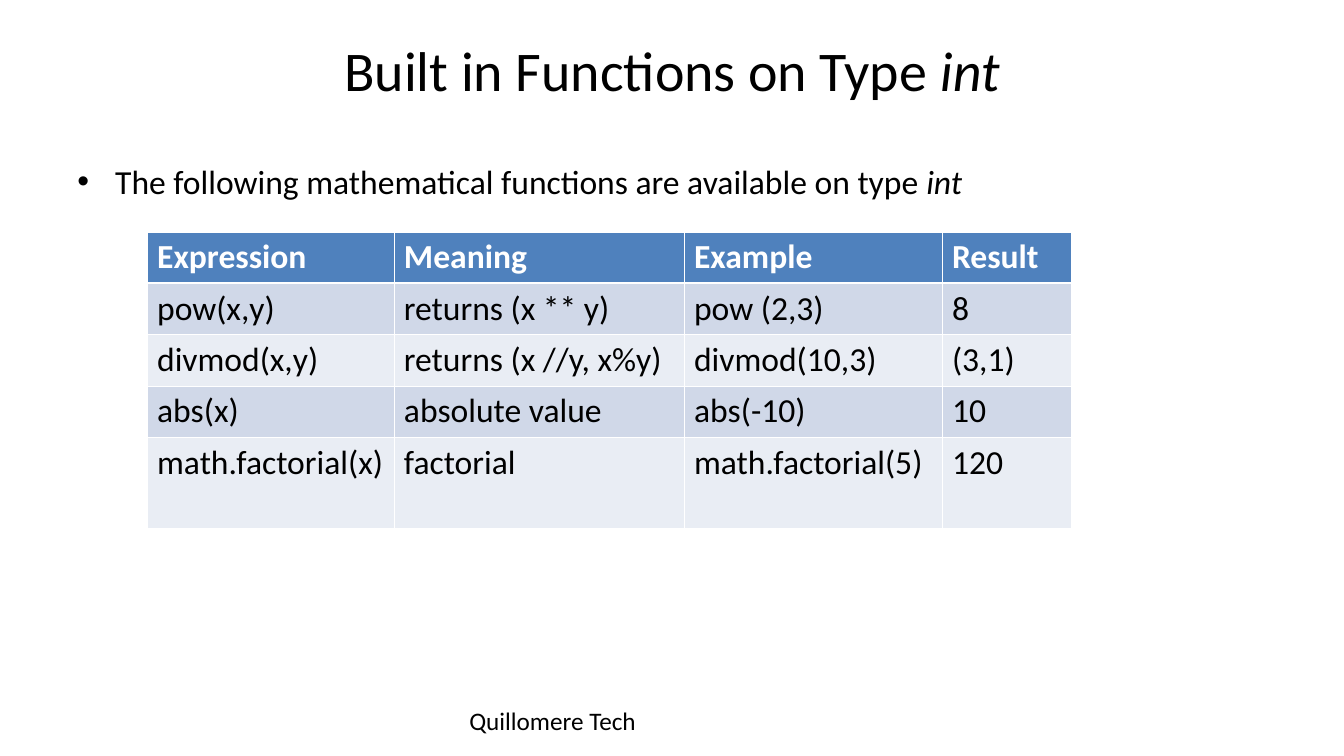
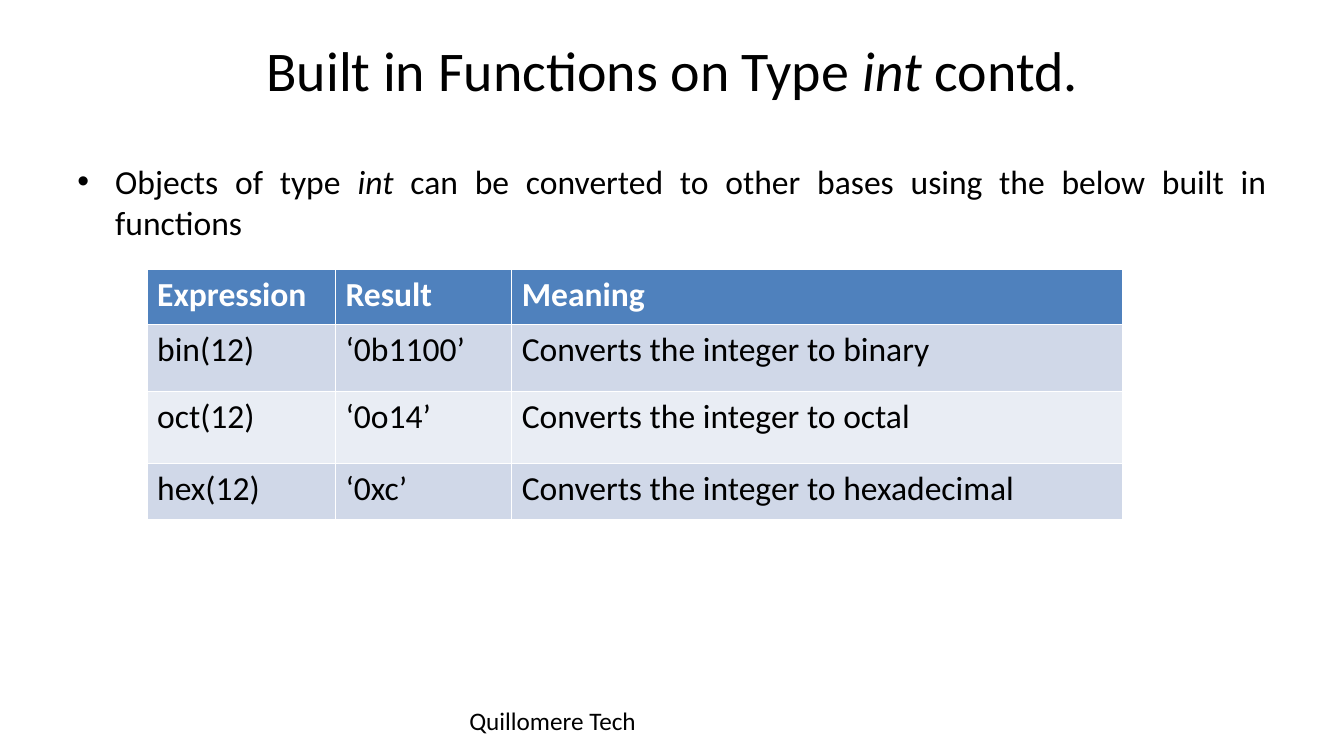
from dataclasses import dataclass

from lxml.etree import SubElement
from pptx import Presentation
from pptx.dml.color import RGBColor
from pptx.enum.text import MSO_ANCHOR, MSO_AUTO_SIZE, PP_ALIGN
from pptx.oxml.ns import qn
from pptx.util import Pt


@dataclass(frozen=True)
class Theme:
    font: str = "Calibri"
    text: str = "000000"
    header_text: str = "FFFFFF"
    header_fill: str = "4F81BD"
    band_fills: tuple = ("D0D8E8", "E9EDF4")
    border: str = "FFFFFF"
    thin_border: float = 0.45
    thick_border: float = 1.47
    title_size: int = 40
    body_size: int = 24
    footer_size: int = 18


THEME = Theme()

# Shared layout, in points: left, top, width, height
SLIDE_SIZE = (960.48, 540)
TITLE_BOX = (48.24, 21.6, 864, 90)
BODY_BOX = (48.24, 111.6, 864, 370.8)
FOOTER_BOX = (328.32, 500.4, 303.84, 28.8)
TABLE_LEFT = 105.12
BULLET_INDENT = 27

FOOTER = "Quillomere Tech"
TITLE = "Built in Functions on Type "


# Text
def format_paragraph(paragraph, size, color=THEME.text, bold=False):
    font = paragraph.font
    font.name = THEME.font
    font.size = Pt(size)
    font.bold = bold
    font.color.rgb = RGBColor.from_string(color)


def add_runs(paragraph, parts):
    """Add text parts in turn; every second part is italic."""
    for index, text in enumerate(parts):
        run = paragraph.add_run()
        run.text = text
        if index % 2:
            run.font.italic = True


def set_title(slide, parts):
    title = slide.shapes.title
    title.left, title.top, title.width, title.height = map(Pt, TITLE_BOX)
    frame = title.text_frame
    frame.auto_size = MSO_AUTO_SIZE.NONE
    frame.vertical_anchor = MSO_ANCHOR.TOP
    paragraph = frame.paragraphs[0]
    paragraph.alignment = PP_ALIGN.CENTER
    format_paragraph(paragraph, THEME.title_size)
    add_runs(paragraph, parts)


def add_text_box(slide, box):
    frame = slide.shapes.add_textbox(*map(Pt, box)).text_frame
    frame.word_wrap = True
    return frame.paragraphs[0]


def set_bullet(paragraph):
    properties = paragraph._p.get_or_add_pPr()
    properties.set("marL", str(Pt(BULLET_INDENT)))
    properties.set("indent", str(-Pt(BULLET_INDENT)))
    color = SubElement(properties, qn("a:buClr"))
    SubElement(color, qn("a:srgbClr"), val=THEME.text)
    SubElement(properties, qn("a:buFont"), typeface="Arial")
    SubElement(properties, qn("a:buChar"), char="•")


def add_bullet(slide, parts):
    paragraph = add_text_box(slide, BODY_BOX)
    paragraph.alignment = PP_ALIGN.JUSTIFY
    paragraph.space_before = Pt(6)
    set_bullet(paragraph)
    format_paragraph(paragraph, THEME.body_size)
    add_runs(paragraph, parts)


def add_footer(slide):
    paragraph = add_text_box(slide, FOOTER_BOX)
    format_paragraph(paragraph, THEME.footer_size)
    add_runs(paragraph, [FOOTER])


# Tables
def set_borders(cell, row_index):
    widths = dict.fromkeys(("lnL", "lnR", "lnT", "lnB"), THEME.thin_border)
    if row_index == 0:
        widths["lnB"] = THEME.thick_border
    elif row_index == 1:
        widths["lnT"] = THEME.thick_border
    properties = cell._tc.get_or_add_tcPr()
    for side, width in widths.items():
        line = SubElement(properties, qn(f"a:{side}"), w=str(Pt(width)))
        fill = SubElement(line, qn("a:solidFill"))
        SubElement(fill, qn("a:srgbClr"), val=THEME.border)


def fill_cell(cell, text, row_index):
    is_header = row_index == 0
    fill = THEME.header_fill if is_header else THEME.band_fills[(row_index - 1) % 2]
    set_borders(cell, row_index)
    cell.fill.solid()
    cell.fill.fore_color.rgb = RGBColor.from_string(fill)
    cell.text = text
    color = THEME.header_text if is_header else THEME.text
    format_paragraph(cell.text_frame.paragraphs[0], THEME.body_size, color, is_header)


def add_function_table(slide, top, column_widths, row_heights, rows):
    table = slide.shapes.add_table(
        len(rows), len(column_widths), Pt(TABLE_LEFT), Pt(top),
        Pt(sum(column_widths)), Pt(sum(row_heights)),
    ).table
    table.horz_banding = False
    for column, width in zip(table.columns, column_widths):
        column.width = Pt(width)
    for row_index, (row, height, texts) in enumerate(zip(table.rows, row_heights, rows)):
        row.height = Pt(height)
        for cell, text in zip(row.cells, texts):
            fill_cell(cell, text, row_index)


# Slides
def add_slide(presentation, title, bullet, **table):
    slide = presentation.slides.add_slide(presentation.slide_layouts.get_by_name("Title Only"))
    set_title(slide, title)
    add_bullet(slide, bullet)
    add_function_table(slide, **table)
    add_footer(slide)


def main():
    presentation = Presentation()
    presentation.slide_width, presentation.slide_height = map(Pt, SLIDE_SIZE)

    # Mathematical functions
    add_slide(
        presentation,
        title=[TITLE, "int"],
        bullet=["The following mathematical functions are available on type ", "int"],
        top=165.6,
        column_widths=[176.4, 207.36, 184.32, 92.16],
        row_heights=[36.72] * 4 + [64.8],
        rows=[
            ("Expression", "Meaning", "Example", "Result"),
            ("pow(x,y)", "returns (x ** y)", "pow (2,3)", "8"),
            ("divmod(x,y)", "returns (x //y, x%y)", "divmod(10,3)", "(3,1)"),
            ("abs(x)", "absolute value", "abs(-10)", "10"),
            ("math.factorial(x)", "factorial", "math.factorial(5)", "120"),
        ],
    )

    # Base conversion
    add_slide(
        presentation,
        title=[TITLE, "int ", "contd."],
        bullet=[
            "Objects of type ", "int",
            " can be converted to other bases using the below built in functions",
        ],
        top=192.24,
        column_widths=[134.64, 126, 436.32],
        row_heights=[39.6, 47.52, 51.84, 39.6],
        rows=[
            ("Expression", "Result", "Meaning"),
            ("bin(12)", "‘0b1100’", "Converts the integer to binary"),
            ("oct(12)", "‘0o14’", "Converts the integer to octal"),
            ("hex(12)", "‘0xc’", "Converts the integer to hexadecimal"),
        ],
    )

    presentation.save("out.pptx")


main()
